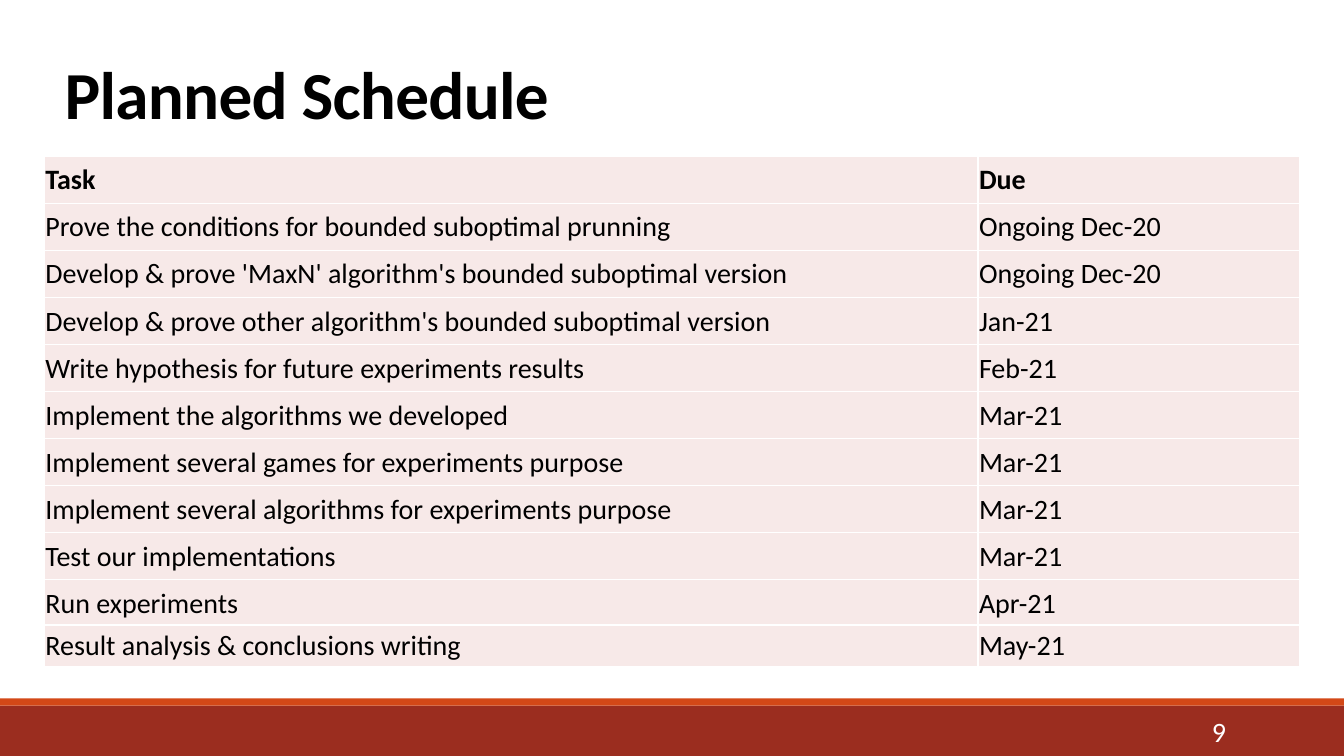
import pptx
import pptx.dml.color
import pptx.enum.shapes
import pptx.enum.text
import pptx.oxml
import pptx.oxml.ns
import pptx.util

Inches = pptx.util.Inches
Anchor = pptx.enum.text.MSO_ANCHOR


def color(value):
    return pptx.dml.color.RGBColor.from_string(value)


def write(text_frame, text, font_color, **formats):
    paragraph = text_frame.paragraphs[0]
    run = paragraph.add_run()
    run.text = text
    for name, value in {"name": "Calibri", "size": pptx.util.Pt(20), "bold": False, **formats}.items():
        setattr(run.font, name, value)
    run.font.color.rgb = color(font_color)
    return paragraph


presentation = pptx.Presentation()
presentation.slide_width = Inches(13.33)
presentation.slide_height = Inches(7.5)
slide = presentation.slides.add_slide(presentation.slide_layouts[5])

for top, height, fill in [(7, 0.5, "9B2D1F"), (6.93, 0.07, "D34817")]:
    band = slide.shapes.add_shape(
        pptx.enum.shapes.MSO_SHAPE.RECTANGLE, 0, Inches(top), presentation.slide_width, Inches(height)
    )
    band.shadow.inherit = False
    band.fill.solid()
    band.fill.fore_color.rgb = color(fill)
    band.line.fill.background()

title = slide.shapes.title
title_box = {"left": 0.54, "top": -0.22, "width": 11, "height": 1.59}
for name, value in title_box.items():
    setattr(title, name, Inches(value))
title.text_frame.auto_size = pptx.enum.text.MSO_AUTO_SIZE.NONE
title.text_frame.vertical_anchor = Anchor.BOTTOM
heading = write(title.text_frame, "Planned Schedule", "000000", size=pptx.util.Pt(48), bold=True)
heading.alignment = pptx.enum.text.PP_ALIGN.LEFT
heading.line_spacing = 0.85
heading.runs[0].font._element.set("spc", "-50")

number_box = slide.shapes.add_textbox(Inches(10.83), Inches(7.06), Inches(1.43), Inches(0.4))
number_box.text_frame.word_wrap = True
number_box.text_frame.vertical_anchor = Anchor.MIDDLE
page_number = write(number_box.text_frame, "9", "FFFFFF")
page_number.alignment = pptx.enum.text.PP_ALIGN.RIGHT

schedule = [
    ("Task", "Due"),
    ("Prove the conditions for bounded suboptimal prunning", "Ongoing Dec-20"),
    ("Develop & prove 'MaxN' algorithm's bounded suboptimal version", "Ongoing Dec-20"),
    ("Develop & prove other algorithm's bounded suboptimal version", "Jan-21"),
    ("Write hypothesis for future experiments results", "Feb-21"),
    ("Implement the algorithms we developed", "Mar-21"),
    ("Implement several games for experiments purpose", "Mar-21"),
    ("Implement several algorithms for experiments purpose", "Mar-21"),
    ("Test our implementations", "Mar-21"),
    ("Run experiments", "Apr-21"),
]
final_task = [("Result analysis & conclusions writing", "May-21")]
cell_format = {
    "margin_left": Inches(0.01),
    "margin_right": Inches(0.01),
    "margin_top": Inches(0.01),
    "margin_bottom": 0,
    "vertical_anchor": Anchor.MIDDLE,
}
namespace = pptx.oxml.ns.nsdecls("a")

for rows, top, height in [(schedule, 1.55, 4.67), (final_task, 6.2, 0.41)]:
    table = slide.shapes.add_table(
        len(rows), 2, Inches(0.44), Inches(top), Inches(12.45), Inches(height)
    ).table
    table.first_row = False
    table.horz_banding = False
    for column, width in zip(table.columns, [9.26, 3.19]):
        column.width = Inches(width)
    for row_index, row in enumerate(rows):
        for column_index, text in enumerate(row):
            cell = table.cell(row_index, column_index)
            for name, value in cell_format.items():
                setattr(cell, name, value)
            for side in "LRTB":
                cell._tc.get_or_add_tcPr().append(pptx.oxml.parse_xml(
                    f'<a:ln{side} {namespace} w="12700"><a:solidFill>'
                    f'<a:srgbClr val="FFFFFF"/></a:solidFill></a:ln{side}>'
                ))
            cell.fill.solid()
            cell.fill.fore_color.rgb = color("F7E9E8")
            write(cell.text_frame, text, "000000", bold=row == schedule[0])

presentation.save("out.pptx")
